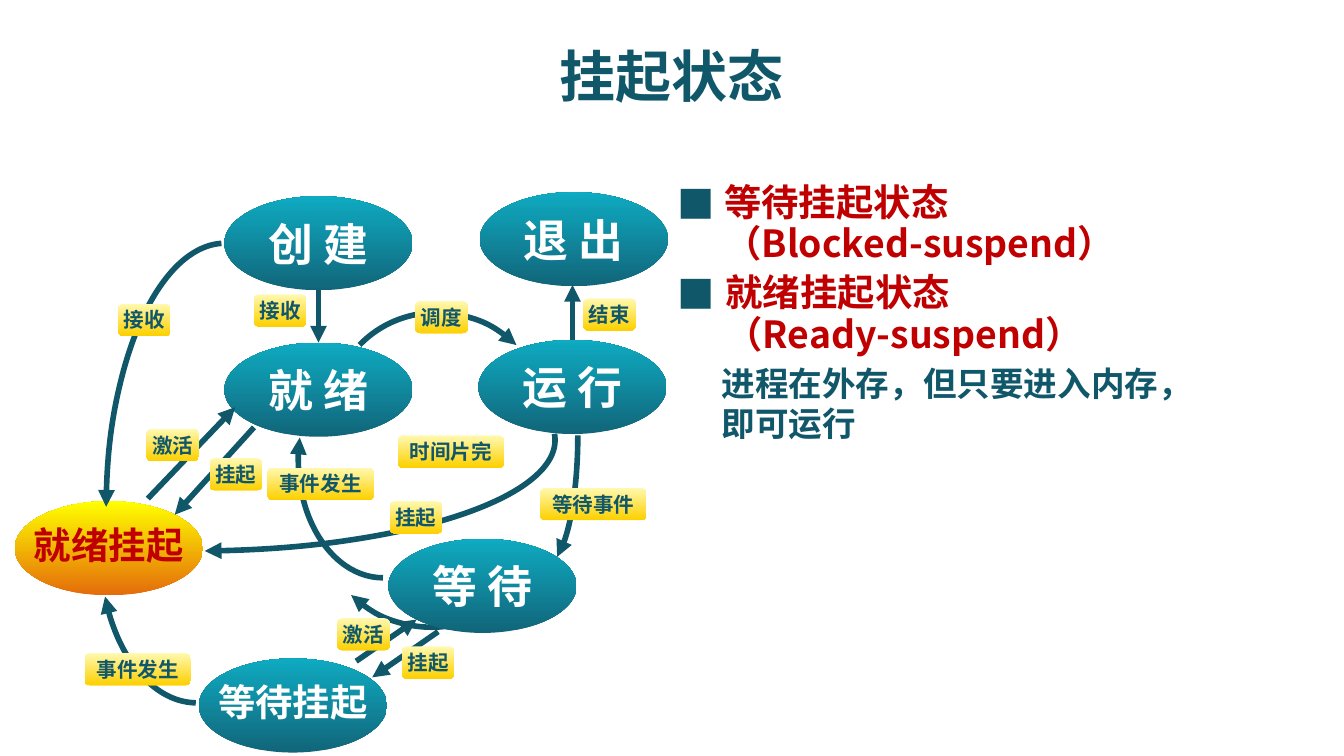
from dataclasses import dataclass

from lxml import etree
from pptx import Presentation
from pptx.dml.color import RGBColor
from pptx.enum.shapes import MSO_CONNECTOR, MSO_SHAPE
from pptx.enum.text import MSO_ANCHOR, PP_ALIGN
from pptx.oxml.ns import qn
from pptx.util import Inches, Pt

STRAIGHT = MSO_CONNECTOR.STRAIGHT
ARC, ELLIPSE, ROUNDED = MSO_SHAPE.ARC, MSO_SHAPE.OVAL, MSO_SHAPE.ROUNDED_RECTANGLE
MIDDLE, TOP = MSO_ANCHOR.MIDDLE, MSO_ANCHOR.TOP
LEFT, CENTER = PP_ALIGN.LEFT, PP_ALIGN.CENTER
TOP_SIDE = 0


@dataclass(frozen=True)
class Theme:
    font: str = "Noto Sans CJK SC"
    bullet_font: str = "Noto Sans CJK JP"
    teal: str = "11576A"
    red: str = "C00000"
    white: str = "FFFFFF"
    # Gradient stops: position in percent, colour
    state_fill: tuple = ((0, "116579"), (77, "0F9BB1"), (100, "0EABC2"))
    highlight_fill: tuple = ((0, "E46C0A"), (100, "FFFF00"))
    label_fill: tuple = ((0, "FFF9B1"), (100, "FDD000"))
    title_size: int = 30
    state_size: int = 24
    heading_size: int = 20
    body_size: int = 18
    label_size: int = 11
    line_width: int = 3


THEME = Theme()
STATE_WIDTH, STATE_HEIGHT = 1.4, 0.7
LABEL_HEIGHT = 0.24

# Left, top, width, height, start and end degrees, arrow end, flips, rotation
ARCS_BEHIND = [
    (3.8, 2.26, 0.5, 1.96, 0.1, 83.9, "tailEnd", "", 0),
    (2.35, 2.96, 1.67, 1.72, 267.6, 359.3, "tailEnd", "", 134),
]
ARCS_IN_FRONT = [
    (2.47, 2.31, 1.62, 1.68, 270, 0, "tailEnd", "", 314),
    (-1.26, 2.45, 5.39, 1.65, 359, 83.9, "tailEnd", "", 0),
    (2.22, 2.54, 1.26, 1.76, 345.2, 90, "headEnd", "H", 0),
    (0.75, 2.98, 1.43, 2.25, 26.1, 89.6, "headEnd", "H", 0),
    (0.79, 1.81, 1.77, 3.95, 0.9, 89.2, "headEnd", "HV", 0),
]
# Name, left, top
STATES = [
    ("创 建", 1.67, 1.46),
    ("就 绪", 1.67, 2.55),
    ("运 行", 3.56, 2.53),
    ("等 待", 2.89, 4.01),
    ("退 出", 3.57, 1.43),
    ("就绪挂起", 0.11, 3.73),
    ("等待挂起", 1.48, 4.9),
]
HIGHLIGHTED = "就绪挂起"
# Start and end points; each arrow points to its end
ARROWS = [
    (3.26, 4.7, 2.77, 5.04),
    (2.65, 4.92, 3.1, 4.61),
    (1.1, 3.71, 1.75, 3.03),
    (1.89, 3.18, 1.3, 3.83),
]
LABELS = [
    ("挂起", 2.9, 3.73), ("接收", 0.88, 2.26), ("事件发生", 0.63, 4.86),
    ("接收", 1.89, 2.19), ("激活", 1.09, 3.19), ("挂起", 1.56, 3.41),
    ("事件发生", 1.99, 3.48), ("激活", 2.51, 4.6), ("挂起", 2.99, 4.81),
    ("等待事件", 4.02, 3.63), ("时间片完", 2.96, 3.24), ("调度", 3.09, 2.24),
    ("结束", 4.34, 2.22),
]
HEADINGS = [
    ("等待挂起状态\n（Blocked-suspend）", 5.29, 1.37),
    ("就绪挂起状态\n（Ready-suspend）", 5.3, 2.04),
]


def write_text(shape, text, size, color, align=CENTER, font=THEME.font):
    shape.text_frame.text = text
    for paragraph in shape.text_frame.paragraphs:
        paragraph.alignment = align
        for run in paragraph.runs:
            run.font.size, run.font.bold, run.font.name = Pt(size), True, font
            run.font.color.rgb = RGBColor.from_string(color)
            east_asian = etree.SubElement(run.font._element, qn("a:ea"))
            east_asian.set("typeface", font)


def add_text(slide, box, text, size, color, align=LEFT, font=THEME.font,
             anchor=TOP, line_spacing=None):
    shape = slide.shapes.add_textbox(*map(Inches, box))
    shape.text_frame.word_wrap = True
    shape.text_frame.vertical_anchor = anchor
    write_text(shape, text, size, color, align, font)
    for paragraph in shape.text_frame.paragraphs:
        paragraph.space_before = Pt(size * 0.2)
        if line_spacing:
            paragraph.line_spacing = Pt(line_spacing)


def fill_gradient(shape, stops, angle):
    shape.fill.gradient()
    shape.fill.gradient_angle = angle
    stop_list = shape._element.spPr.find(qn("a:gradFill")).find(qn("a:gsLst"))
    stop_list.clear()
    for position, color in stops:
        stop = etree.SubElement(stop_list, qn("a:gs"), pos=str(position * 1000))
        etree.SubElement(stop, qn("a:srgbClr"), val=color)


def add_filled_shape(slide, kind, box, stops, angle, text, size, color):
    shape = slide.shapes.add_shape(kind, *map(Inches, box))
    shape.shadow.inherit = False
    shape.line.fill.background()
    fill_gradient(shape, stops, angle)
    frame = shape.text_frame
    frame.margin_left = frame.margin_right = frame.margin_top = frame.margin_bottom = 0
    frame.word_wrap = False
    frame.vertical_anchor = MIDDLE
    write_text(shape, text, size, color)
    return shape


def add_state(slide, name, left, top):
    highlighted = name == HIGHLIGHTED
    stops = THEME.highlight_fill if highlighted else THEME.state_fill
    color = THEME.red if highlighted else THEME.white
    spaced = " " in name
    size = THEME.state_size if spaced else THEME.heading_size
    box = (left, top, STATE_WIDTH, STATE_HEIGHT)
    shape = add_filled_shape(slide, ELLIPSE, box, stops, 90, name, size, color)
    # Long names sit slightly above the centre
    shape.text_frame.margin_bottom = Inches(0 if spaced else 0.06)
    return shape


def add_label(slide, text, left, top):
    box = (left, top, 0.2 * len(text) - 0.01, LABEL_HEIGHT)
    add_filled_shape(slide, ROUNDED, box, THEME.label_fill, 270, text,
                     THEME.label_size, THEME.teal)


def style_line(shape, arrow_end):
    shape.line.color.rgb = RGBColor.from_string(THEME.teal)
    shape.line.width = Pt(THEME.line_width)
    line = shape.line._get_or_add_ln()
    etree.SubElement(line, qn(f"a:{arrow_end}"), type="triangle")


def add_arc(slide, left, top, width, height, start, end, arrow_end, flips, rotation):
    shape = slide.shapes.add_shape(ARC, *map(Inches, (left, top, width, height)))
    shape.shadow.inherit = False
    shape.fill.background()
    # One degree is 60000 angle units, and an adjustment of 1 is 100000
    shape.adjustments[0], shape.adjustments[1] = start * 0.6, end * 0.6
    shape.rotation = rotation
    for direction in flips:
        shape._element.spPr.xfrm.set(f"flip{direction}", "1")
    style_line(shape, arrow_end)


def add_arrow(slide, *ends):
    connector = slide.shapes.add_connector(STRAIGHT, *map(Inches, ends))
    style_line(connector, "tailEnd")
    etree.SubElement(connector._element.spPr, qn("a:effectLst"))
    return connector


def main():
    presentation = Presentation()
    # Widescreen, 16 to 9
    presentation.slide_width = Inches(10)
    presentation.slide_height = Inches(10 * 9 / 16)
    slide = presentation.slides.add_slide(presentation.slide_layouts[6])

    # Title and explanations
    add_text(slide, (0.75, 0.1, 8.5, 0.92), "挂起状态", THEME.title_size,
             THEME.teal, CENTER, anchor=MIDDLE)
    for text, left, top in HEADINGS:
        add_text(slide, (left, top, 4.7, 0.78), text, THEME.heading_size,
                 THEME.red, line_spacing=18)
        add_text(slide, (4.94, top - 0.07, 0.42, 0.44), "■", THEME.heading_size,
                 THEME.teal, font=THEME.bullet_font)
    add_text(slide, (5.27, 2.65, 3.84, 0.78), "进程在外存，但只要进入内存，即可运行",
             THEME.body_size, THEME.teal)

    # States between the two layers of curved transitions
    for arc in ARCS_BEHIND:
        add_arc(slide, *arc)
    states = {name: add_state(slide, name, left, top) for name, left, top in STATES}
    for arc in ARCS_IN_FRONT:
        add_arc(slide, *arc)

    # Straight transitions
    for arrow in ARROWS:
        add_arrow(slide, *arrow)
    add_arrow(slide, 2.37, 2.16, 2.37, 2.55).end_connect(states["就 绪"], TOP_SIDE)
    add_arrow(slide, 4.26, 2.53, 4.26, 2.12).begin_connect(states["运 行"], TOP_SIDE)

    # Transition labels
    for label in LABELS:
        add_label(slide, *label)

    presentation.save("out.pptx")


if __name__ == "__main__":
    main()
